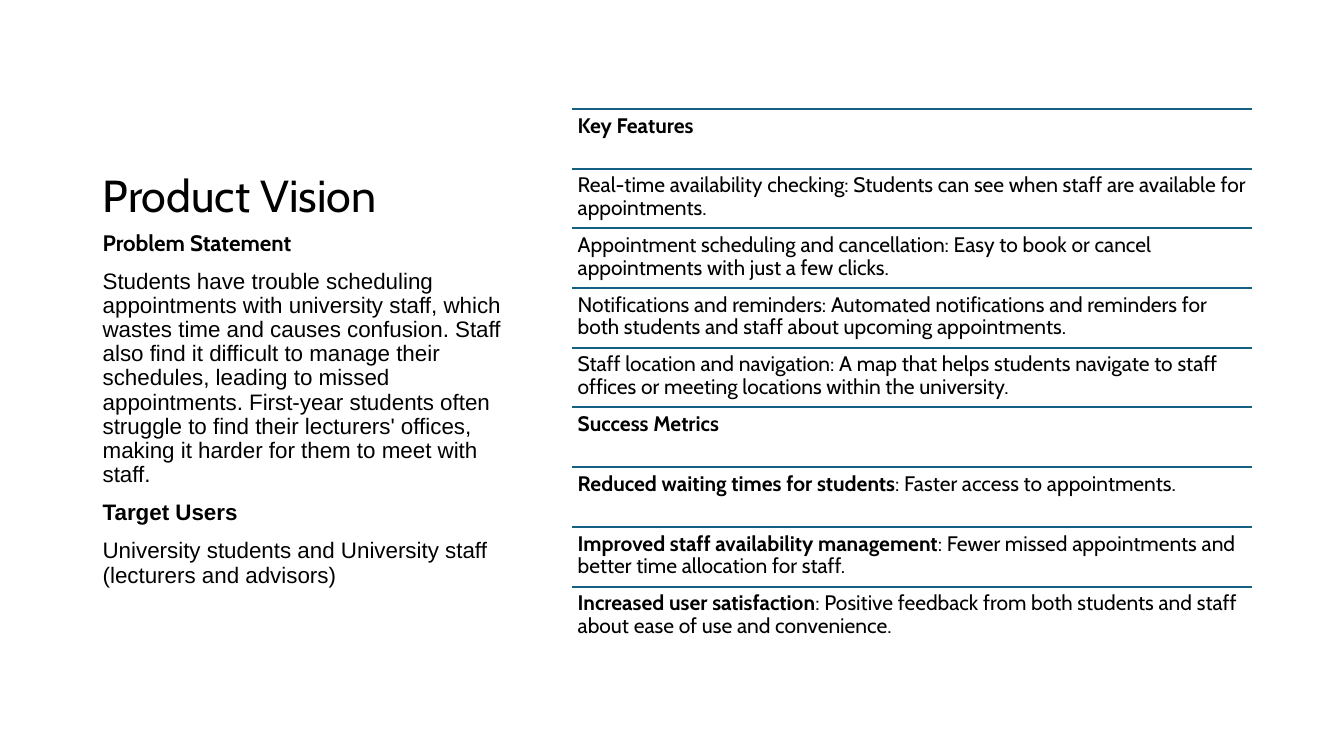
from lxml import etree
from pptx import Presentation
from pptx.dml.color import RGBColor
from pptx.enum.shapes import MSO_CONNECTOR
from pptx.enum.text import MSO_ANCHOR, MSO_AUTO_SIZE, PP_ALIGN
from pptx.oxml.ns import qn
from pptx.util import Inches, Pt

COLORS = {"text": "000000", "rule": "156082", "background": "FFFFFF"}
HEADING_FONT = "Cabin"
BODY_FONT = "Arial"

LEFT_X, LEFT_W = 0.92, 4.3
LIST_X, LIST_Y, LIST_W = 5.67, 1.08, 6.75
ROW_H = (5.82 - LIST_Y) / 8
ROW_INSET = 0.06

VISION = [
    ("Problem Statement", HEADING_FONT, True),
    ("Students have trouble scheduling appointments with university staff, "
     "which wastes time and causes confusion. Staff also find it difficult to "
     "manage their schedules, leading to missed appointments. First-year "
     "students often struggle to find their lecturers' offices, making it "
     "harder for them to meet with staff.", BODY_FONT, False),
    ("Target Users", BODY_FONT, True),
    ("University students and University staff (lecturers and advisors)",
     BODY_FONT, False),
]

ROWS = [
    ("Key Features", ""),
    ("", "Real-time availability checking: Students can see when staff are "
         "available for appointments."),
    ("", "Appointment scheduling and cancellation: Easy to book or cancel "
         "appointments with just a few clicks."),
    ("", "Notifications and reminders: Automated notifications and reminders "
         "for both students and staff about upcoming appointments."),
    ("", "Staff location and navigation: A map that helps students navigate to "
         "staff offices or meeting locations within the university."),
    ("Success Metrics", ""),
    ("Reduced waiting times for students",
     ": Faster access to appointments."),
    ("Improved staff availability management",
     ": Fewer missed appointments and better time allocation for staff."),
    ("Increased user satisfaction",
     ": Positive feedback from both students and staff about ease of use and "
     "convenience."),
]


def color(name):
    return RGBColor.from_string(COLORS[name])


def format_paragraph(p, font, size, bold=None):
    p.alignment = PP_ALIGN.LEFT
    p.line_spacing = 0.9
    p.font.name = font
    p.font.size = Pt(size)
    p.font.bold = bold
    p.font.color.rgb = color("text")


def set_title(s, text):
    title = s.shapes.title
    title.left, title.top = Inches(LEFT_X), Inches(0.5)
    title.width, title.height = Inches(LEFT_W), Inches(1.75)
    tf = title.text_frame
    tf.text = text
    tf.auto_size = MSO_AUTO_SIZE.NONE
    tf.vertical_anchor = MSO_ANCHOR.BOTTOM
    format_paragraph(tf.paragraphs[0], HEADING_FONT, 32)


def add_vision(s):
    box = s.shapes.add_textbox(Inches(LEFT_X), Inches(2.25),
                               Inches(LEFT_W), Inches(4.17))
    tf = box.text_frame
    tf.word_wrap = True
    for i, (text, font, bold) in enumerate(VISION):
        p = tf.add_paragraph() if i else tf.paragraphs[0]
        p.text = text
        format_paragraph(p, font, 16, bold)
        if i:
            p.space_before = Pt(10)


def add_rule(shapes, y):
    rule = shapes.add_connector(MSO_CONNECTOR.STRAIGHT, Inches(LIST_X), Inches(y),
                                Inches(LIST_X + LIST_W), Inches(y))
    rule.line.color.rgb = color("rule")
    rule.line.width = Pt(1.5)
    etree.SubElement(rule._element.spPr, qn("a:effectLst"))


def add_row_text(shapes, y, lead, rest):
    box = shapes.add_textbox(Inches(LIST_X), Inches(y),
                             Inches(LIST_W), Inches(ROW_H))
    tf = box.text_frame
    tf.word_wrap = True
    tf.margin_left = tf.margin_right = Inches(ROW_INSET)
    tf.margin_top = tf.margin_bottom = Inches(ROW_INSET)
    p = tf.paragraphs[0]
    format_paragraph(p, HEADING_FONT, 15)
    for text, bold in ((lead, True), (rest, False)):
        if text:
            r = p.add_run()
            r.text = text
            r.font.bold = bold


def add_list(s):
    shapes = s.shapes.add_group_shape().shapes
    for i, (lead, rest) in enumerate(ROWS):
        y = LIST_Y + i * ROW_H
        add_rule(shapes, y)
        add_row_text(shapes, y, lead, rest)


def main():
    prs = Presentation()
    prs.slide_width, prs.slide_height = Inches(13.33), Inches(7.5)
    s = prs.slides.add_slide(prs.slide_layouts[5])
    s.background.fill.solid()
    s.background.fill.fore_color.rgb = color("background")
    set_title(s, "Product Vision")
    add_list(s)
    add_vision(s)
    prs.save("out.pptx")


if __name__ == "__main__":
    main()
